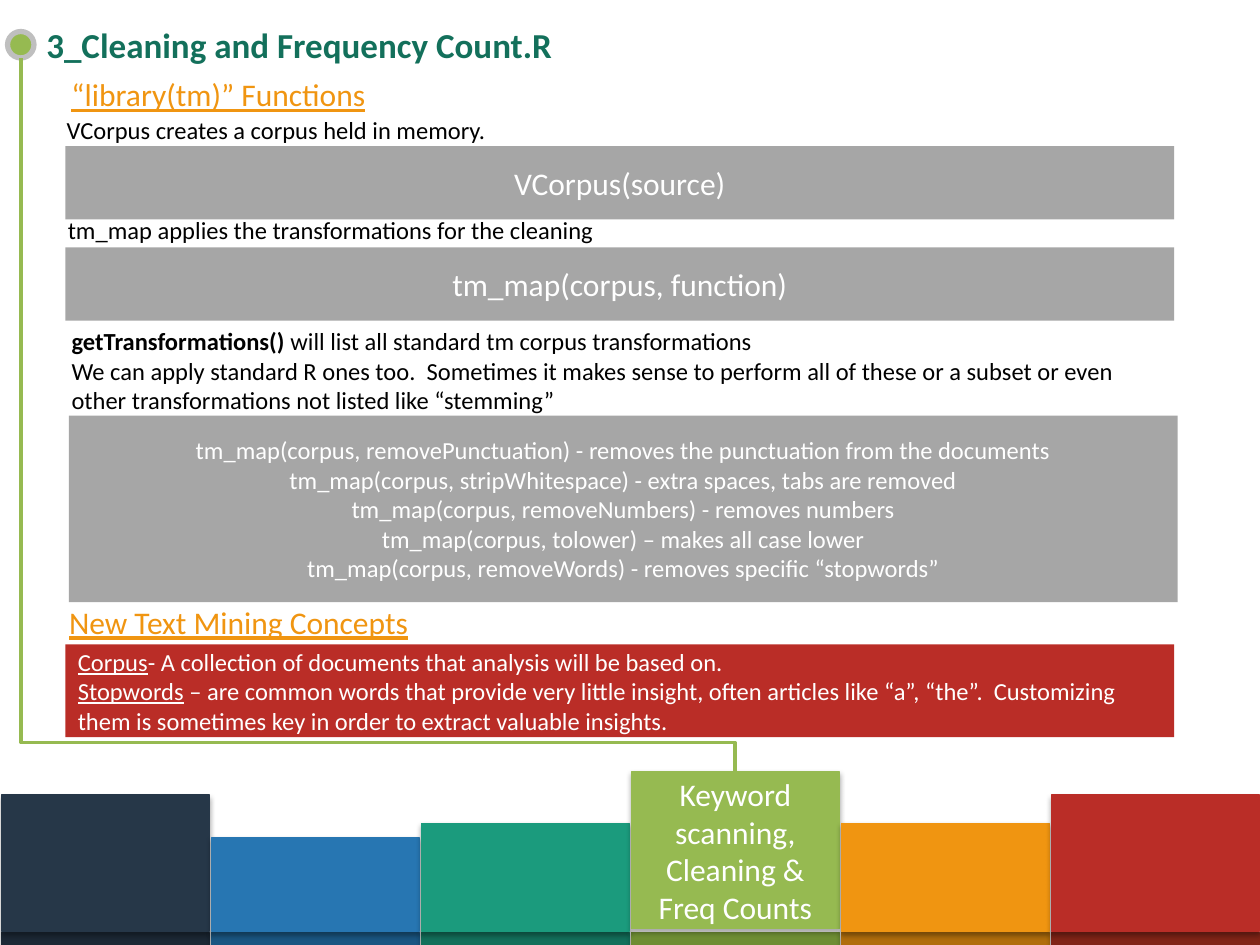
"""Build the slide on cleaning text and counting word frequencies in R."""
from lxml import etree
from pptx import Presentation
from pptx.dml.color import RGBColor
from pptx.enum import shapes, text
from pptx.oxml import ns
from pptx.util import Pt

THEME = {
    "font": "Calibri", "title": 20, "head": 18, "body": 14,
    "white": "FFFFFF", "black": "000000", "gray": "A6A6A6", "ring": "BFBFBF",
    "teal": "13705B", "orange": "F09511", "red": "BA2D27", "green": "96BA51",
}

TITLE = ([[("3_Cleaning and Frequency Count.R", "b")]], (19.4, 8, 440.6, 35.2))
HEADINGS = [
    ([[("“library(tm)” Functions", "u")]], (33.8, 39.6, 197.3, 28.8)),
    ([[("New Text Mining Concepts", "u")]], (32.4, 341.2, 232.6, 28.8)),
]
CAPTIONS = [
    ([[("VCorpus creates a corpus held in memory.", "")]], (31, 62, 278.6, 24.5), False),
    ([[("tm_map applies the transformations for the cleaning", "")]],
     (31.7, 119.2, 342.7, 24.5), False),
    ([[("getTransformations() ", "b"),
       ("will list all standard tm corpus transformations", "")],
      [("We can apply standard R ones too.  Sometimes it makes sense to perform all of "
        "these or a subset or even other transformations not listed like “stemming”", "")]],
     (33.8, 182.9, 637.2, 58.3), True),
]
PANELS = [
    ([[("VCorpus(source)", "")]], (37.4, 83.5, 633.6, 41.8), "gray", "head", "c"),
    ([[("tm_map(corpus, function)", "")]], (37.4, 141.4, 633.6, 41.8), "gray", "head", "c"),
    ([[(line, "")] for line in (
        "tm_map(corpus, removePunctuation) - removes the punctuation from the documents",
        "tm_map(corpus, stripWhitespace) - extra spaces, tabs are removed",
        "tm_map(corpus, removeNumbers) - removes numbers",
        "tm_map(corpus, tolower) – makes all case lower",
        "tm_map(corpus, removeWords) - removes specific “stopwords”")],
     (39.4, 237.5, 633.6, 106.6), "gray", "body", "c"),
    ([[("Corpus", "u"), ("- A collection of documents that analysis will be based on.", "")],
      [("Stopwords", "u"),
       (" – are common words that provide very little insight, often articles like “a”, "
        "“the”.  Customizing them is sometimes key in order to extract valuable insights.",
        "")]],
     (37.4, 368.2, 633.6, 53.1), "red", "body", "l"),
]
STEP = "Keyword scanning, Cleaning & Freq Counts"
COLUMNS = [
    (454.3, 532, "263748", "1C2835", ""),
    (478.8, 532, "2776B2", "1A5682", ""),
    (470.7, 532, "1B9B7D", "13705B", ""),
    (441.1, 530.8, "96BA51", "6E8D33", STEP),
    (470.7, 532, "F09511", "B16E0C", ""),
    (454.3, 532, "BA2D27", "812417", ""),
]
COLUMN_LEFT, COLUMN_PITCH, COLUMN_WIDTH = 0.7, 120, 119
FOOT_TOP, FOOT_HEIGHT = 532.8, 7.2
MARKER = (4.3, 18, 15.1, 15.1)
ELBOW = (12.1, 33.1, 408, 408)
ELBOW_BEND = 0.041


def color(name):
    return RGBColor.from_string(THEME.get(name, name))


def write(sp, paras, size, ink, align="l", wrap=True):
    tf = sp.text_frame
    tf.word_wrap = wrap
    for i, runs in enumerate(paras):
        p = tf.add_paragraph() if i else tf.paragraphs[0]
        p.alignment = text.PP_ALIGN.CENTER if align == "c" else text.PP_ALIGN.LEFT
        for words, style in runs:
            r = p.add_run()
            r.text = words
            r.font.name, r.font.size = THEME["font"], Pt(THEME[size])
            r.font.color.rgb = color(ink)
            r.font.bold, r.font.underline = style == "b", style == "u"
    return tf


def add_label(s, paras, box, size, ink, wrap=False):
    sp = s.shapes.add_textbox(*map(Pt, box))
    tf = write(sp, paras, size, ink, wrap=wrap)
    tf.auto_size = text.MSO_AUTO_SIZE.SHAPE_TO_FIT_TEXT
    return tf


def add_block(s, box, fill, line=None, width=0.75, kind=shapes.MSO_SHAPE.RECTANGLE):
    sp = s.shapes.add_shape(kind, *map(Pt, box))
    sp.shadow.inherit = False
    sp.fill.solid()
    sp.fill.fore_color.rgb = color(fill)
    if line:
        sp.line.color.rgb = color(line)
        sp.line.width = Pt(width)
    else:
        sp.line.fill.background()
    sp.text_frame.vertical_anchor = text.MSO_ANCHOR.MIDDLE
    return sp


def add_shadow(sp):
    effects = sp._element.spPr.find(ns.qn("a:effectLst"))
    shadow = etree.SubElement(effects, ns.qn("a:outerShdw"), blurRad=str(Pt(3.1)),
                              dist=str(Pt(1.8)), dir="5400000", rotWithShape="0")
    ink = etree.SubElement(shadow, ns.qn("a:srgbClr"), val=THEME["black"])
    etree.SubElement(ink, ns.qn("a:alpha"), val="35000")


def add_columns(s):
    lefts = [COLUMN_LEFT + i * COLUMN_PITCH for i in range(len(COLUMNS))]
    for x, (_, _, _, dark, _) in zip(lefts, COLUMNS):
        add_shadow(add_block(s, (x, FOOT_TOP, COLUMN_WIDTH, FOOT_HEIGHT), dark, dark))
    for x, (top, bottom, fill, _, label) in zip(lefts, COLUMNS):
        sp = add_block(s, (x, top, COLUMN_WIDTH, bottom - top), fill, fill)
        add_shadow(sp)
        if label:
            write(sp, [[(label, "")]], "head", "white", "c")


def add_elbow(s):
    x, y, w, h = ELBOW
    cn = s.shapes.add_connector(shapes.MSO_CONNECTOR.ELBOW,
                                Pt(x), Pt(y + h), Pt(x + w), Pt(y))
    cn.line.color.rgb = color("green")
    cn.line.width = Pt(2)
    props = cn._element.spPr
    props.find(ns.qn("a:xfrm")).set("rot", str(270 * 60000))
    guides = props.find(ns.qn("a:prstGeom")).get_or_add_avLst()
    etree.SubElement(guides, ns.qn("a:gd"), name="adj1",
                     fmla=f"val {round(ELBOW_BEND * 100000)}")
    etree.SubElement(props, ns.qn("a:effectLst"))


def main():
    prs = Presentation()
    prs.slide_width, prs.slide_height = Pt(720), Pt(540)
    s = prs.slides.add_slide(prs.slide_layouts[6])
    add_columns(s)
    add_block(s, MARKER, "green", "ring", 3, shapes.MSO_SHAPE.OVAL)
    tf = add_label(s, *TITLE, "title", "teal", True)
    tf.auto_size = text.MSO_AUTO_SIZE.NONE
    tf.vertical_anchor = text.MSO_ANCHOR.MIDDLE
    for paras, box, fill, size, align in PANELS:
        write(add_block(s, box, fill), paras, size, "white", align)
    for paras, box, wrap in CAPTIONS:
        add_label(s, paras, box, "body", "black", wrap)
    for paras, box in HEADINGS:
        add_label(s, paras, box, "head", "orange")
    add_elbow(s)
    prs.save("out.pptx")


if __name__ == "__main__":
    main()
